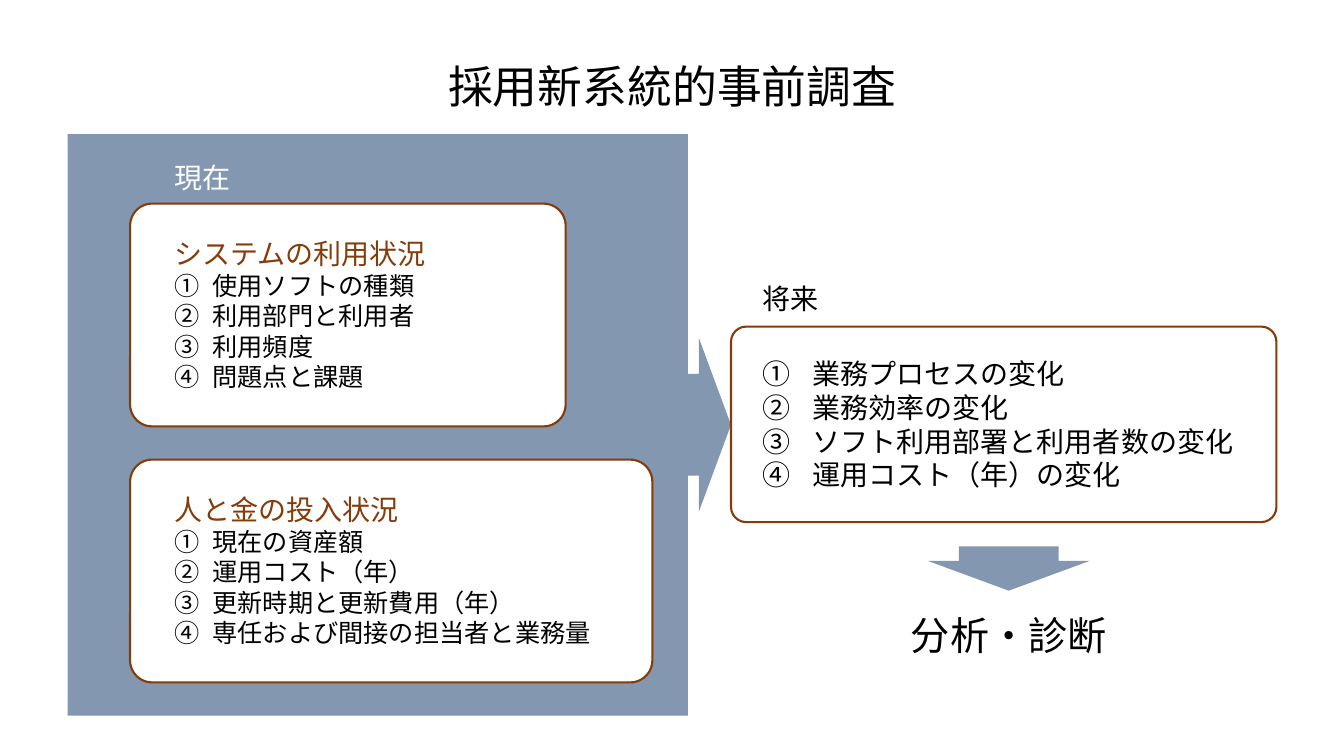
from dataclasses import dataclass

from lxml import etree
from pptx import Presentation
from pptx import util as u
from pptx.dml.color import RGBColor
from pptx.enum import shapes, text
from pptx.oxml.ns import qn


@dataclass(frozen=True)
class Theme:
    ink: str = "000000"
    paper: str = "FFFFFF"
    slate: str = "8497B0"
    brown: str = "843C0B"
    heading_font: str = "Noto Sans CJK JP"
    body_font: str = "Arial"
    title: int = 32
    conclusion: int = 28
    label: int = 20
    item: int = 18
    outline: float = 1.5


THEME = Theme()
WIDTH, HEIGHT = 13.33, 7.5
LABEL_SIZE = (1.09, 0.44)
CARD_INSET = 0.34


def inches(box):
    return [u.Inches(round(length, 2)) for length in box]


def write(paragraph, words, size, color=THEME.ink, font=THEME.body_font, indent=0):
    """Fill one paragraph; an indent makes it a circled-number item."""
    if indent:
        props = paragraph._p.get_or_add_pPr()
        props.set("marL", str(u.Inches(indent)))
        props.set("indent", str(-u.Inches(indent)))
        etree.SubElement(props, qn("a:buAutoNum"), type="circleNumDbPlain")
    run = paragraph.add_run()
    run.text = words
    for name, value in {"name": font, "size": u.Pt(size), "bold": False}.items():
        setattr(run.font, name, value)
    run.font.color.rgb = RGBColor.from_string(color)
    if font == THEME.heading_font:
        etree.SubElement(run._r.get_or_add_rPr(), qn("a:ea"), typeface=font)


def add_text(slide, box, align=text.PP_ALIGN.LEFT):
    frame = slide.shapes.add_textbox(*inches(box)).text_frame
    frame.word_wrap = True
    frame.paragraphs[0].alignment = align
    return frame


def add_label(slide, left, top, words, color):
    frame = add_text(slide, (left, top, *LABEL_SIZE))
    write(frame.paragraphs[0], words, THEME.label, color, THEME.heading_font)


def add_block(slide, kind, box, fill, adjustments, outline=None):
    block = slide.shapes.add_shape(kind, *inches(box))
    block.shadow.inherit = False
    block.fill.solid()
    block.fill.fore_color.rgb = RGBColor.from_string(fill)
    for index, value in enumerate(adjustments):
        block.adjustments[index] = value
    if outline:
        block.line.color.rgb = RGBColor.from_string(outline)
        block.line.width = u.Pt(THEME.outline)
    else:
        block.line.fill.background()


def add_card(slide, box, rounding):
    add_block(slide, shapes.MSO_SHAPE.ROUNDED_RECTANGLE, box, THEME.paper,
              [rounding], THEME.brown)


def add_items(frame, items, size, indent):
    for item in items:
        first = frame.paragraphs[0]
        paragraph = frame.add_paragraph() if first.runs else first
        write(paragraph, item, size, indent=indent)


# Title
def add_title(slide, box, words):
    title = slide.shapes.title
    for name, value in zip(("left", "top", "width", "height"), inches(box)):
        setattr(title, name, value)
    frame = title.text_frame
    frame.vertical_anchor = text.MSO_ANCHOR.MIDDLE
    frame.paragraphs[0].alignment = text.PP_ALIGN.CENTER
    write(frame.paragraphs[0], words, THEME.title, font=THEME.heading_font)


# Left region: present situation
def add_present(slide, box, topics):
    left, top, width, height = box
    card_left, card_height, pitch = left + 0.62, 2.21, 2.54
    add_block(slide, shapes.MSO_SHAPE.RIGHT_ARROW_CALLOUT, box, THEME.slate,
              [0.175, 0.149, 0.055, 0.935])
    add_label(slide, card_left + CARD_INSET, top + 0.21, "現在", THEME.paper)
    for row, (heading, card_width, items) in enumerate(topics):
        card_top = top + 0.69 + row * pitch
        add_card(slide, (card_left, card_top, card_width, card_height), 0.099)
        frame = add_text(slide, (card_left + CARD_INSET, card_top + 0.28,
                                 card_width - CARD_INSET, 1.65))
        write(frame.paragraphs[0], heading, THEME.label, THEME.brown,
              THEME.heading_font)
        add_items(frame, items, THEME.item, 0.38)


# Right region: future changes and the analysis that follows
def add_future(slide, box, items, conclusion):
    left, top, width, height = box
    text_left, center = left + 0.21, left + 2.755
    add_label(slide, text_left, top - 0.5, "将来", THEME.ink)
    add_card(slide, box, 0.078)
    frame = add_text(slide, (text_left, top + 0.25, width - 0.21, 1.45))
    add_items(frame, items, THEME.label, 0.5)
    arrow_width, conclusion_width = 1.61, 2.91
    add_block(slide, shapes.MSO_SHAPE.DOWN_ARROW,
              (center - arrow_width / 2, top + height + 0.24, arrow_width, 0.44),
              THEME.slate, [0.614, 0.673])
    frame = add_text(slide, (center - conclusion_width / 2, top + height + 0.84,
                             conclusion_width, 0.57), text.PP_ALIGN.CENTER)
    write(frame.paragraphs[0], conclusion, THEME.conclusion)


def main():
    deck = Presentation()
    deck.slide_width, deck.slide_height = inches((WIDTH, HEIGHT))
    slide = deck.slides.add_slide(deck.slide_layouts.get_by_name("Title Only"))
    add_title(slide, (WIDTH / 2 - 3.5, 0.53, 7, 0.64), "採用新系統的事前調査")
    add_present(slide, (0.67, 1.33, 6.58, 5.77), [
        ("システムの利用状況", 4.32,
         ["使用ソフトの種類", "利用部門と利用者", "利用頻度", "問題点と課題"]),
        ("人と金の投入状況", 5.18,
         ["現在の資産額", "運用コスト（年）", "更新時期と更新費用（年）",
          "専任および間接の担当者と業務量"]),
    ])
    add_future(slide, (7.25, 3.24, 5.41, 1.94),
               ["業務プロセスの変化", "業務効率の変化",
                "ソフト利用部署と利用者数の変化", "運用コスト（年）の変化"],
               "分析・診断")
    deck.save("out.pptx")


if __name__ == "__main__":
    main()
